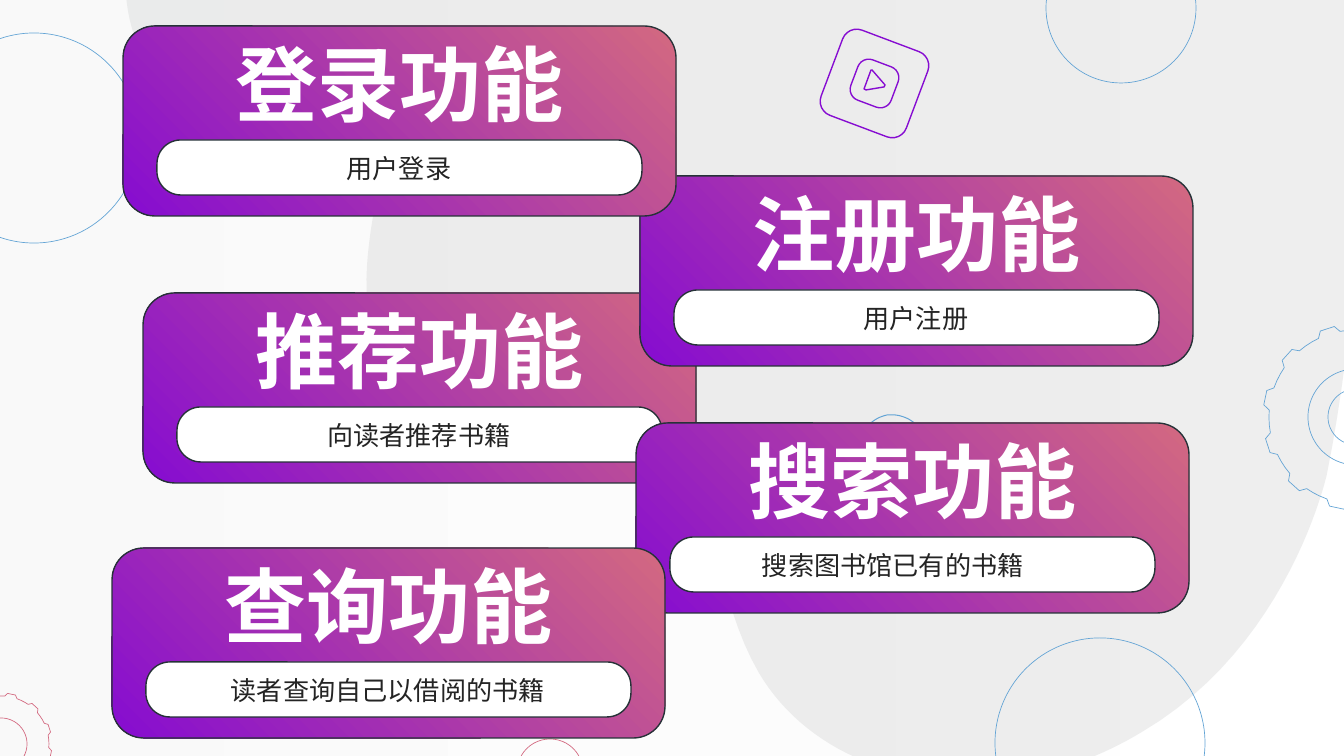
from dataclasses import dataclass
from math import cos, radians, sin

from lxml.etree import SubElement
from pptx import Presentation
from pptx.dml.color import RGBColor
from pptx.enum.shapes import MSO_SHAPE
from pptx.enum.text import MSO_ANCHOR, MSO_AUTO_SIZE, PP_ALIGN
from pptx.oxml.ns import qn
from pptx.util import Emu, Pt


@dataclass(frozen=True)
class Theme:
    white: str = "FFFFFF"
    mist: str = "F3F3F3"
    gray: str = "D6D7D7"
    blue: str = "63A4D5"
    pink: str = "D36980"
    violet: str = "860CD1"
    edge: str = "263238"
    ink: str = "242424"
    head: str = "Montserrat"
    body: str = "Quicksand"
    big: int = 44
    small: int = 14
    hair: float = 0.36
    thin: float = 0.54
    line: float = 0.75


T = Theme()
SCALE = 914400 / 134.4
WIDE, HIGH = 1344, 756

# Card corner, title, note, sideways shift of the note
CARDS_BACK = [
    (143, 293, "推荐功能", "向读者推荐书籍", 0),
    (640, 176, "注册功能", "用户注册", 0),
]
CARD_MAIN = (123, 26, "登录功能", "用户登录", 0)
CARDS_FRONT = [
    (636, 423, "搜索功能", "搜索图书馆已有的书籍", -19),
    (112, 548, "查询功能", "读者查询自己以借阅的书籍", 0),
]

# Outlines: a pair is a straight step, six numbers are a Bézier curve
BLOB = [
    (952, 781),
    (868, 775, 797, 737, 759, 673),
    (695, 563, 712, 379, 640, 375),
    (636, 375),
    (579, 375, 543, 452, 487, 448),
    (468, 446, 448, 437, 423, 414),
    (324, 321, 386, 208, 383, 134),
    (383, 116, 376, 109, 366, 108),
    (339, 106, 288, 144, 241, 141),
    (231, 140, 223, 138, 214, 134),
    (144, 98, 117, 11, 128, -40),
    (138, -90, 108, -156, 108, -156),
    (1374, -75),
    (1374, -75, 1371, 257, 1327, 474),
    (1327, 474, 1290, 645, 1142, 732),
    (1079, 770, 1013, 785, 952, 781),
]
BULB = [
    (926, 458),
    (927, 453, 927, 448, 927, 444),
    (923, 425, 906, 413, 887, 415),
    (868, 419, 856, 437, 859, 456),
    (860, 461, 862, 465, 864, 469),
    (870, 474),
    (888, 493),
    (903, 512),
    (907, 511),
    (914, 488),
]
PLAY = [(871, 70), (864, 89), (866, 90), (884, 87), (885, 85), (872, 70)]


def px(num):
    return Emu(round(num * SCALE))


def color(code):
    return RGBColor.from_string(code)


def paint(shape, fill=None, angle=0, alpha=None, line=None, width=T.line):
    """Fill with one colour or a pair for a gradient, then set the line."""
    shape.shadow.inherit = False
    if fill is None:
        shape.fill.background()
    elif isinstance(fill, tuple):
        shape.fill.gradient()
        shape.fill.gradient_angle = angle
        for stop, code in zip(shape.fill.gradient_stops, fill):
            stop.color.rgb = color(code)
    else:
        shape.fill.solid()
        shape.fill.fore_color.rgb = color(fill)
    if alpha is not None:
        for node in shape.element.spPr.iter(qn("a:srgbClr")):
            SubElement(node, qn("a:alpha")).set("val", str(alpha * 1000))
    if line:
        shape.line.color.rgb = color(line)
        shape.line.width = Pt(width)
    else:
        shape.line.fill.background()
    return shape


def preset(slide, kind, box, adj=None, turn=0, **look):
    shape = slide.shapes.add_shape(kind, *map(px, box))
    if adj is not None:
        shape.adjustments[0] = adj
    shape.rotation = turn
    return paint(shape, **look)


def ring(slide, x, y, r, **look):
    return preset(slide, MSO_SHAPE.OVAL, (x - r, y - r, 2 * r, 2 * r), **look)


def trace(steps, parts=24):
    """Turn steps and curves into a list of points."""
    dots = [steps[0]]
    for step in steps[1:]:
        if len(step) == 2:
            dots.append(step)
            continue
        ends = [dots[-1], step[:2], step[2:4], step[4:]]
        for i in range(1, parts + 1):
            t = i / parts
            mix = ((1 - t) ** 3, 3 * t * (1 - t) ** 2, 3 * t * t * (1 - t), t ** 3)
            dots.append(tuple(sum(m * e[k] for m, e in zip(mix, ends)) for k in (0, 1)))
    return dots


def outline(slide, steps, **look):
    dots = [(px(x), px(y)) for x, y in trace(steps)]
    form = slide.shapes.build_freeform(*dots[0], scale=1)
    form.add_line_segments(dots[1:], close=True)
    return paint(form.convert_to_shape(), **look)


def gear(slide, x, y, tip, root, hole, teeth=12, **look):
    # Each tooth rises, runs flat, falls, then follows the root circle
    turns = [(0, root), (3, tip), (12, tip), (15, root), (20, root), (25, root)]
    steps = []
    for k in range(teeth):
        for turn, r in turns:
            a = radians(4.5 + k * 360 / teeth + turn)
            steps.append((x + r * cos(a), y + r * sin(a)))
    outline(slide, steps, **look)
    ring(slide, x, y, hole, **look)


def write(slide, text, box, font=T.body, size=T.small, ink=T.ink, bold=False, shape=None):
    if shape is None:
        shape = slide.shapes.add_textbox(*map(px, box))
    else:
        shape.left, shape.top, shape.width, shape.height = map(px, box)
    frame = shape.text_frame
    frame.word_wrap = True
    frame.auto_size = MSO_AUTO_SIZE.NONE
    frame.vertical_anchor = MSO_ANCHOR.MIDDLE
    frame.margin_left = frame.margin_right = frame.margin_top = frame.margin_bottom = px(13)
    para = frame.paragraphs[0]
    para.alignment = PP_ALIGN.CENTER
    run = para.add_run()
    run.text = text
    run.font.name, run.font.size, run.font.bold = font, Pt(size), bold
    run.font.color.rgb = color(ink)


def card(slide, x, y, title, note, shift, holder=None):
    box = MSO_SHAPE.ROUNDED_RECTANGLE
    preset(slide, box, (x, y, 553, 190), 0.167, fill=(T.pink, T.violet), angle=225, line=T.edge)
    pill = preset(slide, box, (x + 34, y + 114, 485, 55), 0.434, fill=T.white, line=T.edge)
    if holder is not None:
        pill.element.addnext(holder.element)
    write(slide, title, (x + 87, y + 15, 379, 83), font=T.head, size=T.big,
          ink=T.white, bold=True, shape=holder)
    write(slide, note, (x + 48 + shift, y + 118, 456, 48))


def scene(slide):
    # Soft backdrop
    preset(slide, MSO_SHAPE.RECTANGLE, (0, 0, WIDE, HIGH), fill=(T.white, T.mist),
           angle=180, alpha=41)
    outline(slide, BLOB, fill=T.gray, alpha=41)
    # Circles and gears
    blue = dict(line=T.blue, width=T.hair)
    pink = dict(line=T.pink, width=T.hair)
    for x, y, r, look in [(1121, 8, 75, blue), (34, 138, 105, blue),
                          (550, 772, 33, pink), (1100, 743, 105, blue)]:
        ring(slide, x, y, r, **look)
    gear(slide, 1, 744, 51, 48, 26, **pink)
    gear(slide, 1356, 417, 93, 87, 48, **blue)
    ring(slide, 1356, 417, 28, **blue)


def icons(slide):
    # Tilted play button
    for box, adj in [((829, 38, 91, 91), 0.165), ((853, 62, 43, 43), 0.27)]:
        preset(slide, MSO_SHAPE.ROUNDED_RECTANGLE, box, adj, turn=20.6, line=T.violet)
    outline(slide, PLAY, line=T.violet)
    # Bulb
    outline(slide, BULB, line=T.blue, width=T.thin)


def main():
    deck = Presentation()
    deck.slide_width, deck.slide_height = px(WIDE), px(HIGH)
    slide = deck.slides.add_slide(deck.slide_layouts[5])
    scene(slide)
    for item in CARDS_BACK:
        card(slide, *item)
    card(slide, *CARD_MAIN, holder=slide.shapes.title)
    icons(slide)
    for item in CARDS_FRONT:
        card(slide, *item)
    deck.save("out.pptx")


if __name__ == "__main__":
    main()
